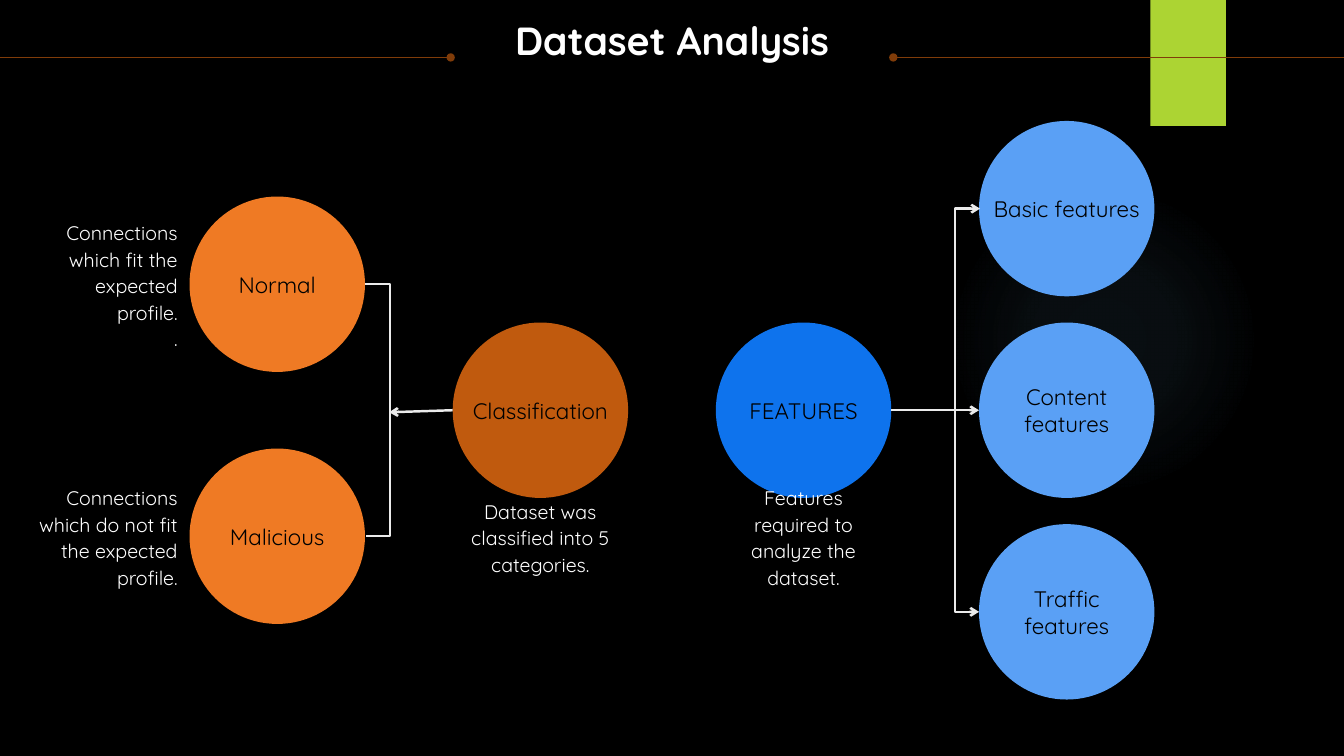
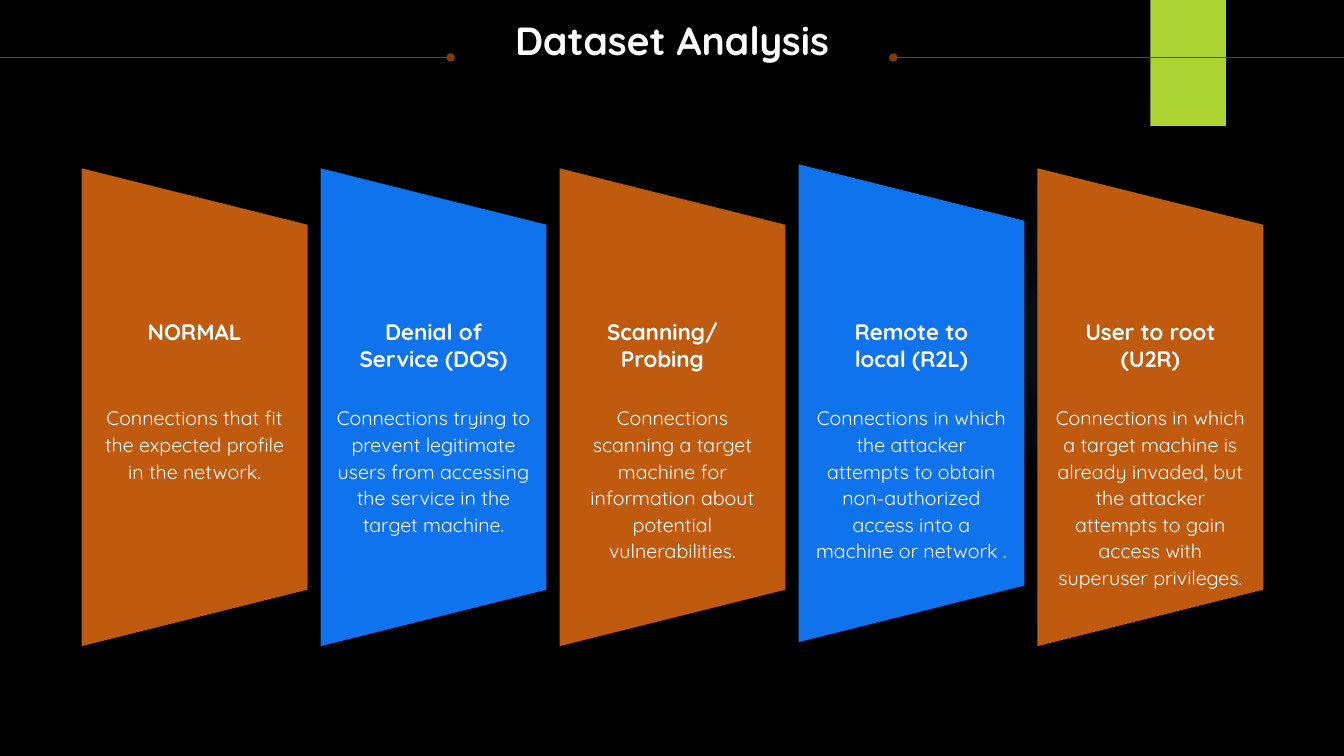
import dataclasses
import typing

import lxml.etree
import pptx
import pptx.dml.color
import pptx.enum.dml
import pptx.enum.shapes
import pptx.enum.text
import pptx.oxml
import pptx.oxml.ns
import pptx.presentation
import pptx.shapes.autoshape
import pptx.shapes.connector
import pptx.slide
import pptx.text.text
import pptx.util

SLIDE_WIDTH, SLIDE_HEIGHT = 13.33, 7.5
FONT = "Quicksand"
WHITE, BLACK, LINE = "FFFFFF", "000000", "EBEBEB"
ORANGE, RUST, BLUE, SKY = "EF7A24", "C05A0E", "0E73ED", "5AA0F5"
LIME, BROWN, GLOW = "ACD433", "803C09", "7AC4F0"

FIRST_COLUMN, COLUMN_PITCH = 2.75, 2.61
MIDDLE_ROW, ROW_PITCH = 4.07, 0.25
DIAMETER = 1.74
LABEL_WIDTH, CAPTION_WIDTH = 1.5, 1.47
ELBOW_WIDTH, ELBOW_REACH = 0.01, 0.25

FIRST_PANEL, PANEL_PITCH, PANEL_WIDTH = 1.93, 2.37, 2.24
PANEL_HEIGHT = 2 * PANEL_PITCH
PANEL_MIDDLE = 4.04

SHAPES = pptx.enum.shapes.MSO_SHAPE
CONNECTORS = pptx.enum.shapes.MSO_CONNECTOR
ALIGN = pptx.enum.text.PP_ALIGN
ANCHOR = pptx.enum.text.MSO_ANCHOR


@dataclasses.dataclass(frozen=True)
class Node:
    column: float
    row: float
    label: str
    color: str


@dataclasses.dataclass(frozen=True)
class Caption:
    column: float
    row: float
    paragraphs: tuple[str, ...]
    align: typing.Any = ALIGN.CENTER


@dataclasses.dataclass(frozen=True)
class Panel:
    heading: str
    body: str
    color: str
    rise: float = 0
    heading_width: float = LABEL_WIDTH
    heading_shift: float = 0


@dataclasses.dataclass(frozen=True)
class TextStyle:
    size: float
    color: str = WHITE
    bold: bool = False
    spacing: typing.Any = None
    align: typing.Any = ALIGN.CENTER
    anchor: typing.Any = ANCHOR.TOP


TITLE = TextStyle(28, bold=True, spacing=0.9)
LABEL = TextStyle(16, color=BLACK, anchor=ANCHOR.MIDDLE)
HEADING = TextStyle(16, bold=True)
BODY = TextStyle(14, spacing=pptx.util.Pt(19))

NODES = (
    Node(0, -5, "Normal", ORANGE),
    Node(0, 5, "Malicious", ORANGE),
    Node(1, 0, "Classification", RUST),
    Node(2, 0, "FEATURES", BLUE),
    Node(3, -8, "Basic features", SKY),
    Node(3, 0, "Content features", SKY),
    Node(3, 8, "Traffic features", SKY),
)
CAPTIONS = (
    Caption(2, 5, ("Features required to analyze the dataset.",)),
    Caption(1, 5, ("Dataset was classified into 5 categories.",)),
    Caption(-0.66, -5, ("Connections which fit the expected profile.", "."), ALIGN.RIGHT),
    Caption(-0.66, 5, ("Connections which do not fit the expected profile.",), ALIGN.RIGHT),
)
PANELS = (
    Panel("NORMAL", "Connections that fit the expected profile in the network.", RUST),
    Panel(
        "Denial of Service (DOS)",
        "Connections trying to prevent legitimate users from accessing "
        "the service in the target machine.",
        BLUE,
    ),
    Panel(
        "Scanning/Probing",
        "Connections scanning a target machine for information about "
        "potential vulnerabilities.",
        RUST,
        heading_width=1.71,
        heading_shift=-0.1,
    ),
    Panel(
        "Remote to local (R2L)",
        "Connections in which the attacker attempts to obtain "
        "non-authorized access into a machine or network .",
        BLUE,
        rise=0.04,
    ),
    Panel(
        "User to root (U2R)",
        "Connections in which a target machine is already invaded, but "
        "the attacker attempts to gain access with superuser privileges.",
        RUST,
    ),
)


def rgb(color: str) -> pptx.dml.color.RGBColor:
    return pptx.dml.color.RGBColor.from_string(color)


def inches(*lengths: float) -> list[pptx.util.Length]:
    return [pptx.util.Inches(length) for length in lengths]


def column_x(column: float) -> float:
    return FIRST_COLUMN + column * COLUMN_PITCH


def row_y(row: float) -> float:
    return MIDDLE_ROW + row * ROW_PITCH


def write_text(
    frame: pptx.text.text.TextFrame, paragraphs: tuple[str, ...], style: TextStyle
) -> None:
    frame.word_wrap = True
    frame.auto_size = pptx.enum.text.MSO_AUTO_SIZE.SHAPE_TO_FIT_TEXT
    frame.vertical_anchor = style.anchor
    frame.margin_left = frame.margin_right = frame.margin_top = frame.margin_bottom = 0
    for index, text in enumerate(paragraphs):
        paragraph = frame.add_paragraph() if index else frame.paragraphs[0]
        paragraph.alignment = style.align
        paragraph.line_spacing = style.spacing
        run = paragraph.add_run()
        run.text = text
        run.font.name = FONT
        run.font.size = pptx.util.Pt(style.size)
        run.font.bold = style.bold
        run.font.color.rgb = rgb(style.color)


def add_text(
    slide: pptx.slide.Slide,
    center_x: float,
    top: float,
    width: float,
    height: float,
    paragraphs: tuple[str, ...],
    style: TextStyle,
) -> None:
    box = slide.shapes.add_textbox(*inches(center_x - width / 2, top, width, height))
    write_text(box.text_frame, paragraphs, style)


def add_shape(
    slide: pptx.slide.Slide,
    kind: SHAPES,
    center_x: float,
    center_y: float,
    width: float,
    height: float,
    color: str,
) -> pptx.shapes.autoshape.Shape:
    shape = slide.shapes.add_shape(
        kind, *inches(center_x - width / 2, center_y - height / 2, width, height)
    )
    shape.shadow.inherit = False
    shape.fill.solid()
    shape.fill.fore_color.rgb = rgb(color)
    shape.line.fill.background()
    return shape


def add_line(
    slide: pptx.slide.Slide,
    start: tuple[float, float],
    end: tuple[float, float],
    color: str = LINE,
    weight: float = 1.75,
    head: str = "",
    tail: str = "",
    kind: CONNECTORS = CONNECTORS.STRAIGHT,
) -> pptx.shapes.connector.Connector:
    connector = slide.shapes.add_connector(kind, *inches(*start, *end))
    connector.line.color.rgb = rgb(color)
    connector.line.width = pptx.util.Pt(weight)
    properties = connector.element.spPr
    outline = properties.find(pptx.oxml.ns.qn("a:ln"))
    for tag, arrow in (("a:headEnd", head), ("a:tailEnd", tail)):
        if arrow:
            lxml.etree.SubElement(outline, pptx.oxml.ns.qn(tag), type=arrow)
    lxml.etree.SubElement(properties, pptx.oxml.ns.qn("a:effectLst"))
    return connector


def add_bracket(
    slide: pptx.slide.Slide, left: float, rows: int, mirrored: bool = False, arrow: str = ""
) -> None:
    connector = add_line(
        slide,
        (left, row_y(-rows)),
        (left + ELBOW_WIDTH, row_y(rows)),
        head=arrow,
        tail=arrow,
        kind=CONNECTORS.ELBOW,
    )
    properties = connector.element.spPr
    if mirrored:
        transform = properties.find(pptx.oxml.ns.qn("a:xfrm"))
        transform.set("rot", "10800000")
        transform.set("flipV", "1")
    guides = properties.find(pptx.oxml.ns.qn("a:prstGeom")).get_or_add_avLst()
    bend = round(ELBOW_REACH / ELBOW_WIDTH * 100000)
    lxml.etree.SubElement(guides, pptx.oxml.ns.qn("a:gd"), name="adj1", fmla=f"val {bend}")


def add_glow(slide: pptx.slide.Slide) -> None:
    glow = add_shape(slide, SHAPES.OVAL, 10.95, 3.37, 3.08, 3.08, GLOW)
    stops = "".join(
        f'<a:gs pos="{position}000"><a:srgbClr val="{GLOW}">'
        f'<a:alpha val="{opacity}000"/></a:srgbClr></a:gs>'
        for position, opacity in ((0, 7), (36, 6), (69, 0))
    )
    gradient = pptx.oxml.parse_xml(
        f'<a:gradFill {pptx.oxml.ns.nsdecls("a")} rotWithShape="1"><a:gsLst>{stops}</a:gsLst>'
        '<a:path path="circle"><a:fillToRect l="50000" t="50000" r="50000" b="50000"/>'
        "</a:path></a:gradFill>"
    )
    properties = glow.element.spPr
    properties.replace(properties.find(pptx.oxml.ns.qn("a:solidFill")), gradient)


def add_base_slide(presentation: pptx.presentation.Presentation, title: str) -> pptx.slide.Slide:
    slide = presentation.slides.add_slide(presentation.slide_layouts[5])
    add_glow(slide)
    add_shape(slide, SHAPES.RECTANGLE, 11.785, 0.625, 0.75, SLIDE_HEIGHT / 6, LIME)
    rule_y = 0.57
    add_line(slide, (8.86, rule_y), (SLIDE_WIDTH, rule_y), BROWN, 0.75, head="oval")
    add_line(slide, (0, rule_y), (4.47, rule_y), BROWN, 0.75, tail="oval")
    placeholder = slide.shapes.title
    placeholder.left, placeholder.top, placeholder.width, placeholder.height = inches(
        0.25, 0.21, SLIDE_WIDTH - 0.5, 0.85
    )
    write_text(placeholder.text_frame, (title,), TITLE)
    return slide


def draw_diagram(slide: pptx.slide.Slide) -> None:
    radius = DIAMETER / 2
    for node in NODES:
        x, y = column_x(node.column), row_y(node.row)
        add_shape(slide, SHAPES.OVAL, x, y, DIAMETER, DIAMETER, node.color)
    add_bracket(slide, column_x(0) + radius, 5)
    add_line(slide, (column_x(1) - radius, MIDDLE_ROW), (3.86, 4.09), tail="arrow")
    right_edge = column_x(3) - radius
    add_line(
        slide, (column_x(2) + radius, MIDDLE_ROW), (right_edge, MIDDLE_ROW), tail="arrow"
    )
    add_bracket(slide, right_edge, 8, mirrored=True, arrow="arrow")
    for node in NODES:
        x, y = column_x(node.column), row_y(node.row)
        add_text(slide, x, y - 0.135, LABEL_WIDTH, 0.27, (node.label,), LABEL)
    for caption in CAPTIONS:
        style = dataclasses.replace(BODY, align=caption.align, anchor=ANCHOR.MIDDLE)
        x, y = column_x(caption.column), row_y(caption.row)
        add_text(slide, x, y - 0.52, CAPTION_WIDTH, 1.04, caption.paragraphs, style)


def draw_panels(slide: pptx.slide.Slide) -> None:
    for index, panel in enumerate(PANELS):
        x = FIRST_PANEL + index * PANEL_PITCH
        y = PANEL_MIDDLE - panel.rise
        shape = add_shape(slide, SHAPES.TRAPEZOID, x, y, PANEL_HEIGHT, PANEL_WIDTH, panel.color)
        shape.rotation = 90
        heading_x = x + panel.heading_shift
        add_text(slide, heading_x, 3.16, panel.heading_width, 0.54, (panel.heading,), HEADING)
        add_text(slide, x, 4, 1.92, 1.58, (panel.body,), BODY)


def main() -> None:
    presentation = pptx.Presentation()
    presentation.slide_width, presentation.slide_height = inches(SLIDE_WIDTH, SLIDE_HEIGHT)
    background = presentation.slide_master.background.fill
    background.solid()
    background.fore_color.rgb = rgb(BLACK)
    for draw in (draw_diagram, draw_panels):
        draw(add_base_slide(presentation, "Dataset Analysis"))
    presentation.save("out.pptx")


if __name__ == "__main__":
    main()
